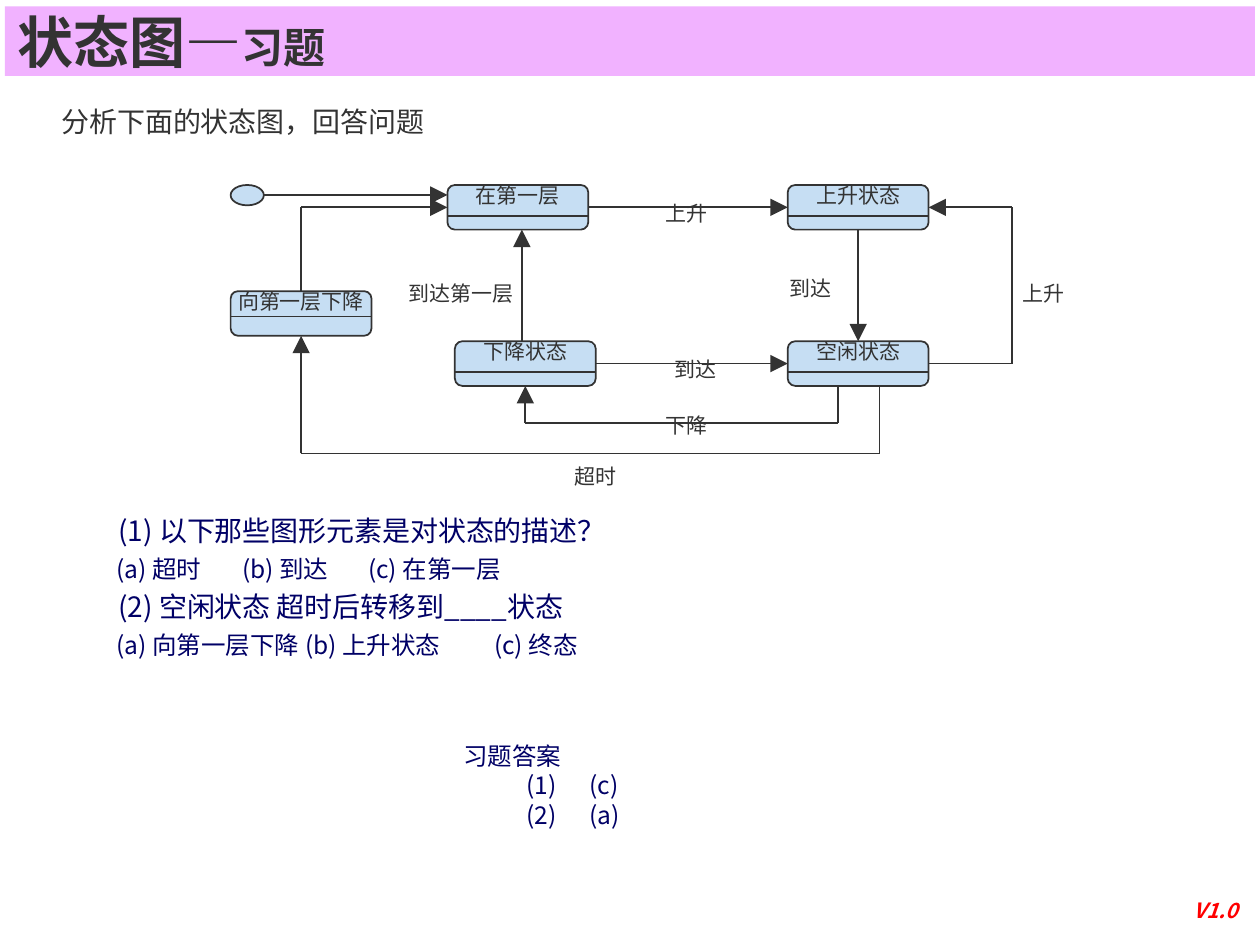
from pptx import Presentation
from pptx.dml.color import RGBColor
from pptx.enum.shapes import MSO_CONNECTOR, MSO_SHAPE
from pptx.enum.text import MSO_ANCHOR, MSO_AUTO_SIZE, PP_ALIGN
from pptx.oxml.ns import qn
from pptx.util import Cm, Pt
from lxml.etree import SubElement

FONT = "Noto Sans CJK SC"
COLORS = {"text": "333333", "question": "000066", "state": "C6DEF3",
          "banner": "F1B2FF", "version": "FF0000"}
TOP, LEFT, BOTTOM, RIGHT = range(4)

# Diagram geometry in cm, relative to the diagram's top left corner
STATE_W, STATE_H = 2.84, 0.9
STATES = {  # name: (label, left, top, divider offset)
    "first": ("在第一层", 4.37, 0, 0.62),
    "rising": ("上升状态", 11.23, 0, 0.62),
    "to_first": ("向第一层下降", 0, 2.14, 0.51),
    "falling": ("下降状态", 4.52, 3.15, 0.62),
    "idle": ("空闲状态", 11.23, 3.15, 0.62),
}
TRANSITIONS = [  # (points, joined start, joined end)
    ([(0.67, 0.2), (4.37, 0.2)], None, None),
    ([(7.21, 0.45), (11.23, 0.45)], ("first", RIGHT), ("rising", LEFT)),
    ([(12.65, 0.9), (12.65, 3.15)], ("rising", BOTTOM), ("idle", TOP)),
    ([(7.36, 3.6), (11.23, 3.6)], ("falling", RIGHT), ("idle", LEFT)),
    ([(14.07, 3.6), (15.75, 3.6), (15.75, 0.45), (14.07, 0.45)],
     ("idle", RIGHT), ("rising", RIGHT)),
    ([(13.08, 4.05), (13.08, 5.41), (1.42, 5.41), (1.42, 3.04)],
     None, ("to_first", BOTTOM)),
    ([(12.24, 4.05), (12.24, 4.8), (5.94, 4.8), (5.94, 4.05)],
     None, ("falling", BOTTOM)),
    ([(1.42, 2.14), (1.42, 0.45), (4.37, 0.45)],
     ("to_first", TOP), ("first", LEFT)),
    ([(5.87, 3.15), (5.87, 0.9)], None, None),
]
LABELS = [  # (text, left, top, width)
    ("上升", 8.51, 0.18, 1.35), ("到达", 8.69, 3.33, 1.35),
    ("到达", 11.02, 1.7, 1.35), ("上升", 15.72, 1.8, 1.35),
    ("超时", 6.68, 5.49, 1.35), ("下降", 8.51, 4.47, 1.35),
    ("到达第一层", 3.33, 1.8, 2.62),
]


def rgb(name):
    return RGBColor.from_string(COLORS[name])


def add_run(p, text, size, color="text", bold=False, italic=False):
    r = p.add_run()
    r.text = text
    r.font.name, r.font.size = FONT, Pt(size)
    r.font.bold, r.font.italic = bold, italic
    r.font.color.rgb = rgb(color)
    SubElement(r.font._element, qn("a:ea"), typeface=FONT)


def format_paragraph(p, indent=0, tabs=(), before=0):
    """Plain unbulleted paragraph; indent and tab stops are in cm."""
    p.alignment = PP_ALIGN.LEFT
    p.space_before = Pt(before)
    pPr = p._p.get_or_add_pPr()
    pPr.set("marL", str(Cm(indent)))
    pPr.set("indent", "0")
    SubElement(pPr, qn("a:buNone"))
    if tabs:
        stops = SubElement(pPr, qn("a:tabLst"))
        for tab in tabs:
            SubElement(stops, qn("a:tab"), pos=str(Cm(tab)), algn="l")


def place(sp, left, top, width, height):
    sp.left, sp.top, sp.width, sp.height = map(Cm, (left, top, width, height))


def clear_margins(tf):
    tf.margin_left = tf.margin_top = tf.margin_right = tf.margin_bottom = 0


def add_text_box(slide, left, top, width, height, wrap=True):
    tf = slide.shapes.add_textbox(*map(Cm, (left, top, width, height))).text_frame
    tf.word_wrap = wrap
    return tf


def add_line(slide, start, end, arrow=False):
    line = slide.shapes.add_connector(MSO_CONNECTOR.STRAIGHT, *map(Cm, start + end))
    line.line.color.rgb, line.line.width = rgb("text"), Pt(1)
    if arrow:
        SubElement(line.line._get_or_add_ln(), qn("a:tailEnd"),
                   type="triangle", w="lg", len="lg")
    SubElement(line._element.spPr, qn("a:effectLst"))
    return line


def add_node(slide, preset, left, top, width, height):
    sp = slide.shapes.add_shape(preset, *map(Cm, (left, top, width, height)))
    sp.shadow.inherit = False
    sp.fill.solid()
    sp.fill.fore_color.rgb = rgb("state")
    sp.line.color.rgb, sp.line.width = rgb("text"), Pt(1)
    return sp


def add_state(slide, label, left, top, divider):
    sp = add_node(slide, MSO_SHAPE.FLOWCHART_ALTERNATE_PROCESS,
                  left, top, STATE_W, STATE_H)
    tf = sp.text_frame
    clear_margins(tf)
    tf.margin_bottom = Cm(0.5)
    tf.word_wrap, tf.vertical_anchor = False, MSO_ANCHOR.MIDDLE
    p = tf.paragraphs[0]
    p.alignment = PP_ALIGN.CENTER
    add_run(p, label, 12)
    y = top + divider
    add_line(slide, (left, y), (left + STATE_W, y))
    return sp


def add_diagram(slide, left, top):
    states = {name: add_state(slide, label, left + x, top + y, divider)
              for name, (label, x, y, divider) in STATES.items()}
    add_node(slide, MSO_SHAPE.OVAL, left, top, 0.67, 0.41)
    for points, begin, end in TRANSITIONS:
        points = [(left + x, top + y) for x, y in points]
        last = len(points) - 2
        legs = [add_line(slide, a, b, arrow=i == last)
                for i, (a, b) in enumerate(zip(points, points[1:]))]
        if begin:
            legs[0].begin_connect(states[begin[0]], begin[1])
        if end:
            legs[-1].end_connect(states[end[0]], end[1])
    for text, x, y, width in LABELS:
        tf = add_text_box(slide, left + x, top + y, width, 0.76, wrap=False)
        add_run(tf.paragraphs[0], text, 12)


def add_banner(title, left, top, width, height):
    place(title, left, top, width, height)
    title.fill.solid()
    title.fill.fore_color.rgb = rgb("banner")
    tf = title.text_frame
    tf.auto_size, tf.vertical_anchor = MSO_AUTO_SIZE.NONE, MSO_ANCHOR.MIDDLE
    p = tf.paragraphs[0]
    p.alignment = PP_ALIGN.LEFT
    add_run(p, "状态图—", 32, bold=True)
    add_run(p, "习题", 24, bold=True)


def fill_paragraphs(tf, rows, color):
    """Rows are (text, size, indent, tab stops, space before)."""
    for i, (text, size, indent, tabs, before) in enumerate(rows):
        p = tf.add_paragraph() if i else tf.paragraphs[0]
        format_paragraph(p, indent, tabs, before)
        add_run(p, text, size, color)


def add_body(body, left, top, width, height, rows, color):
    place(body, left, top, width, height)
    tf = body.text_frame
    clear_margins(tf)
    tf.auto_size, tf.vertical_anchor = MSO_AUTO_SIZE.NONE, MSO_ANCHOR.TOP
    fill_paragraphs(tf, rows, color)


def add_answers(slide, left, top, width, height):
    tabs = (3.81, 6.35)
    fill_paragraphs(add_text_box(slide, left, top, width, height), [
        ("习题答案", 14, 0, (), 0),
        ("\t(1)\t(c)", 14, 0, tabs, 0),
        ("\t(2)\t(a)", 14, 0, tabs, 0),
    ], "question")


def add_version(slide, left, top, width, height):
    p = add_text_box(slide, left, top, width, height).paragraphs[0]
    p.alignment = PP_ALIGN.CENTER
    add_run(p, "V1.0", 12, "version", bold=True, italic=True)


def main():
    prs = Presentation()
    prs.slide_width, prs.slide_height = Cm(25.4), Cm(19.05)
    slide = prs.slides.add_slide(prs.slide_layouts[3])
    title, intro, questions = slide.placeholders
    add_banner(title, 0.1, 0.13, 25.2, 1.4)
    add_body(intro, 1.24, 2.11, 22.86, 1.9,
             [("分析下面的状态图，回答问题", 16, 0, (), 0)], "text")
    add_diagram(slide, 4.65, 3.73)
    add_body(questions, 1.07, 10.36, 22.86, 6.35, [
        ("(1) 以下那些图形元素是对状态的描述？", 16, 1.32, (), 0),
        ("\t(a) 超时\t(b) 到达\t(c) 在第一层", 14, 0, (3.35, 6.33, 8.99), 3.5),
        ("(2) 空闲状态 超时后转移到____状态", 16, 1.32, (), 4),
        ("\t(a) 向第一层下降\t(b) 上升状态\t(c) 终态", 14, 0, (3.35, 8.43, 12.62), 3.5),
    ], "question")
    add_answers(slide, 9.09, 14.81, 12.7, 2.03)
    add_version(slide, 23.5, 17.96, 2, 0.76)
    prs.save("out.pptx")


if __name__ == "__main__":
    main()
